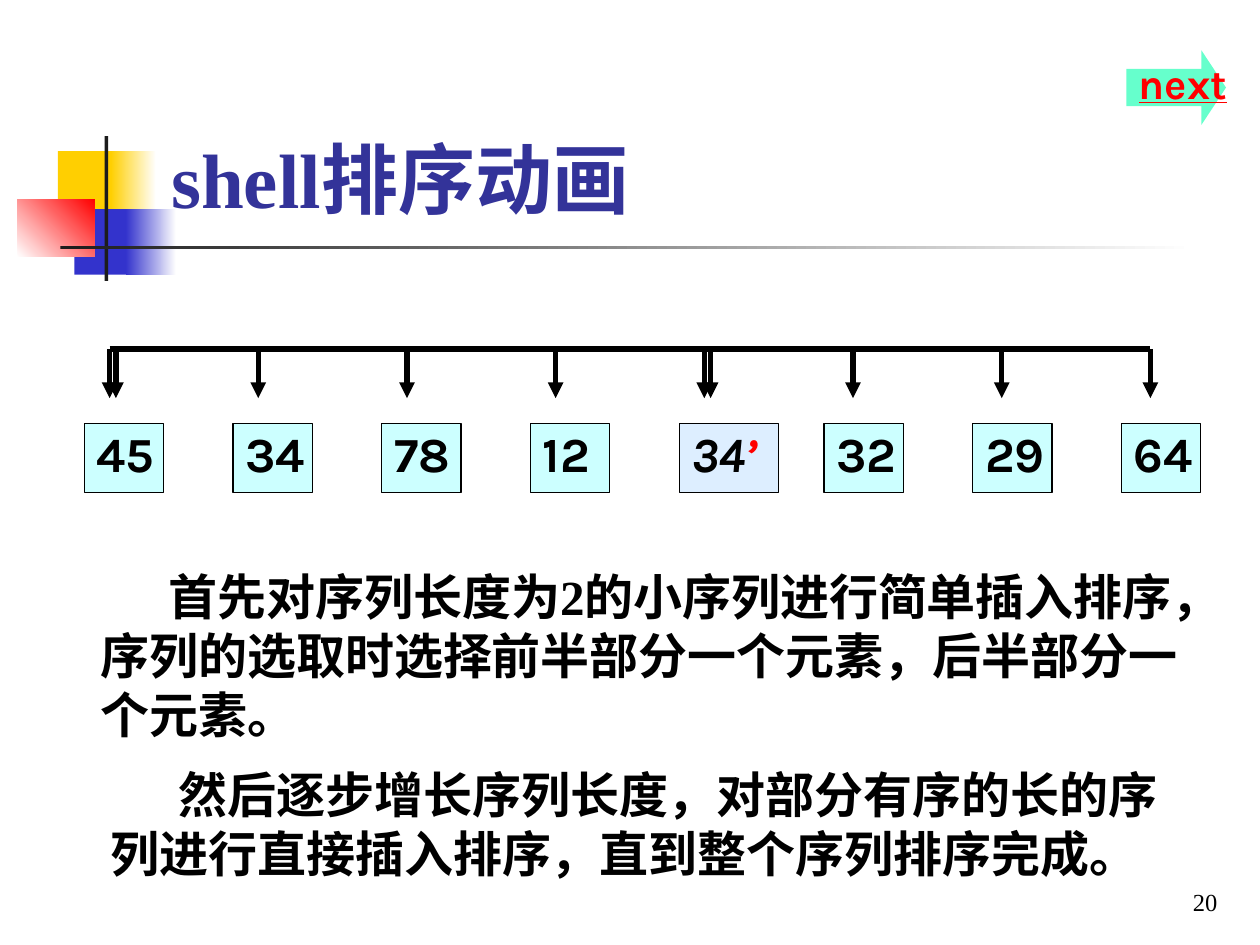
"""Builds the shell sort animation slide."""
from dataclasses import dataclass

from lxml import etree
from pptx import Presentation
from pptx.dml.color import RGBColor
from pptx.enum.shapes import MSO_CONNECTOR, MSO_SHAPE
from pptx.enum.text import MSO_ANCHOR, MSO_AUTO_SIZE, PP_ALIGN
from pptx.oxml.ns import qn
from pptx.util import Emu, Pt

RECTANGLE = MSO_SHAPE.RECTANGLE
RIGHT_ARROW = MSO_SHAPE.RIGHT_ARROW
STRAIGHT = MSO_CONNECTOR.STRAIGHT
TOP, MIDDLE, BOTTOM = MSO_ANCHOR.TOP, MSO_ANCHOR.MIDDLE, MSO_ANCHOR.BOTTOM
LEFT, RIGHT = PP_ALIGN.LEFT, PP_ALIGN.RIGHT
FIT_SHAPE = MSO_AUTO_SIZE.SHAPE_TO_FIT_TEXT
FIT_NONE = MSO_AUTO_SIZE.NONE
EMU_PER_PX = 9144


@dataclass(frozen=True)
class Theme:
    serif: str = "Times New Roman"
    sans: str = "Karla"
    title_size: int = 44
    body_size: int = 28
    next_size: int = 24
    number_size: int = 14
    black: str = "000000"
    white: str = "FFFFFF"
    title: str = "333399"
    yellow: str = "FFCF01"
    blue: str = "3333CC"
    red: str = "FF0000"
    charcoal: str = "1C1C1C"
    cell: str = "CCFFFF"
    marked_cell: str = "99CCFF"
    arrow: str = "66FFCC"


@dataclass(frozen=True)
class Area:
    left: int
    top: int
    width: int
    height: int


@dataclass(frozen=True)
class Block:
    area: Area
    color: str
    fade_to: str = ""
    angle: int = 0


@dataclass(frozen=True)
class Cell:
    left: int
    value: str
    mark: str = ""


@dataclass(frozen=True)
class Passage:
    area: Area
    text: str


THEME = Theme()
ORNAMENT = (
    Block(Area(46, 120, 48, 52), THEME.yellow),
    Block(Area(88, 120, 36, 52), THEME.yellow, THEME.white),
    Block(Area(59, 166, 46, 52), THEME.blue),
    Block(Area(100, 166, 40, 52), THEME.blue, THEME.white),
    Block(Area(14, 158, 61, 46), THEME.white, THEME.red, 45),
    Block(Area(83, 108, 3, 115), THEME.charcoal),
    Block(Area(48, 195, 900, 3), THEME.charcoal, THEME.white),
)
STEP = 118
CELL_TOP, CELL_WIDTH, MARKED_WIDTH, CELL_HEIGHT = 336, 63, 79, 55
CELLS = (
    *(Cell(67 + STEP * i, value) for i, value in enumerate(("45", "34", "78", "12"))),
    Cell(539, "34", "’"),
    *(Cell(654 + STEP * i, value) for i, value in enumerate(("32", "29", "64"))),
)
PAIR_STARTS = (92, *(87 + STEP * i for i in range(4)))
PAIR_SPAN, PAIR_TOP, PAIR_BOTTOM = 4 * STEP, 277, 316
HANGING, FIRST_LINE = 38, 54
PASSAGES = (
    Passage(Area(70, 445, 883, 151),
            "首先对序列长度为2的小序列进行简单插入排序，序列的选取时选择前半部分一个元素，后半部分一个元素。"),
    Passage(Area(78, 602, 867, 104),
            "然后逐步增长序列长度，对部分有序的长的序列进行直接插入排序，直到整个序列排序完成。"),
)


def px(length: int) -> Emu:
    """Turn px into EMU."""
    return Emu(length * EMU_PER_PX)


def place(area: Area) -> tuple:
    """Give the position and size of an area in EMU."""
    return px(area.left), px(area.top), px(area.width), px(area.height)


def add_block(page, block: Block, kind=RECTANGLE, outline: str = "", opacity: int = 100):
    """Draw a preset shape with a plain, see-through or fading fill."""
    shape = page.shapes.add_shape(kind, *place(block.area))
    shape.shadow.inherit = False
    if block.fade_to:
        shape.fill.gradient()
        shape.fill.gradient_angle = block.angle
        for stop, color in zip(shape.fill.gradient_stops, (block.color, block.fade_to)):
            stop.color.rgb = RGBColor.from_string(color)
    else:
        shape.fill.solid()
        shape.fill.fore_color.rgb = RGBColor.from_string(block.color)
    if opacity < 100:
        color_node = shape.fill._xPr.find(f"{qn('a:solidFill')}/{qn('a:srgbClr')}")
        etree.SubElement(color_node, qn("a:alpha")).set("val", str(opacity * 1000))
    if outline:
        shape.line.color.rgb = RGBColor.from_string(outline)
        shape.line.width = Pt(0.75)
    else:
        shape.line.fill.background()
    return shape


def write(box, text: str, *, size: int, font: str = THEME.serif, color: str = THEME.black,
          bold: bool = True, italic: bool = False, underline: bool = False,
          align=LEFT, anchor=TOP, wrap: bool = True, fit=FIT_NONE,
          margin: int = 0, indent: int = 0, spacing: float = 1.0) -> None:
    """Append a formatted span to the first paragraph of a box."""
    frame = box.text_frame
    frame.word_wrap, frame.auto_size, frame.vertical_anchor = wrap, fit, anchor
    para = frame.paragraphs[0]
    para.alignment, para.line_spacing = align, spacing
    properties = para._p.get_or_add_pPr()
    properties.set("marL", str(px(margin)))
    properties.set("indent", str(px(indent)))
    span = para.add_run()
    span.text = text
    span.font.name, span.font.size = font, Pt(size)
    span.font.bold, span.font.italic, span.font.underline = bold, italic, underline
    span.font.color.rgb = RGBColor.from_string(color)


def write_label(box, text: str, **style) -> None:
    """Write a tight, unwrapped label inside a shape."""
    write(box, text, font=THEME.sans, anchor=MIDDLE, wrap=False,
          margin=HANGING, indent=-HANGING, spacing=0.8, **style)


def add_cell(page, cell: Cell) -> None:
    """Draw one number of the sequence."""
    marked = bool(cell.mark)
    area = Area(cell.left, CELL_TOP, MARKED_WIDTH if marked else CELL_WIDTH, CELL_HEIGHT)
    block = Block(area, THEME.marked_cell if marked else THEME.cell)
    box = add_block(page, block, outline=THEME.black, opacity=33 if marked else 100)
    write_label(box, cell.value, size=THEME.body_size, italic=marked)
    if marked:
        write_label(box, cell.mark, size=THEME.body_size, italic=True, color=THEME.red)


def add_line(page, start: tuple[int, int], end: tuple[int, int], arrow: bool = False) -> None:
    """Draw a straight line, with an arrowhead at its end if asked."""
    line = page.shapes.add_connector(STRAIGHT, *map(px, start + end))
    line.line.color.rgb = RGBColor.from_string(THEME.black)
    line.line.width = Pt(3)
    if arrow:
        etree.SubElement(line.line._get_or_add_ln(), qn("a:tailEnd")).set("type", "triangle")
    etree.SubElement(line._element.spPr, qn("a:effectLst"))


def add_pair(page, left: int) -> None:
    """Join the two positions that are compared."""
    right = left + PAIR_SPAN
    add_line(page, (left, PAIR_TOP), (right, PAIR_TOP))
    for x in (left, right):
        add_line(page, (x, PAIR_TOP), (x, PAIR_BOTTOM), arrow=True)


def add_text(page, area: Area, text: str, **style) -> None:
    """Add a text box with one formatted paragraph."""
    write(page.shapes.add_textbox(*place(area)), text, **style)


def main() -> None:
    """Build and save the deck."""
    deck = Presentation()
    deck.slide_width, deck.slide_height = px(1000), px(750)
    page = deck.slides.add_slide(deck.slide_layouts[6])
    for block in ORNAMENT:
        add_block(page, block)
    add_text(page, Area(126, 91, 852, 92), "shell排序动画", size=THEME.title_size,
             color=THEME.title, anchor=BOTTOM)
    for cell in CELLS:
        add_cell(page, cell)
    for left in PAIR_STARTS:
        add_pair(page, left)
    arrow = add_block(page, Block(Area(894, 40, 79, 59), THEME.arrow), RIGHT_ARROW)
    arrow.adjustments[1] = 0.33
    write_label(arrow, "next", size=THEME.next_size, color=THEME.red, underline=True)
    for passage in PASSAGES:
        add_text(page, passage.area, passage.text, size=THEME.body_size,
                 fit=FIT_SHAPE, indent=FIRST_LINE)
    add_text(page, Area(768, 682, 208, 50), "20", size=THEME.number_size,
             bold=False, align=RIGHT, anchor=BOTTOM)
    deck.save("out.pptx")


if __name__ == "__main__":
    main()
